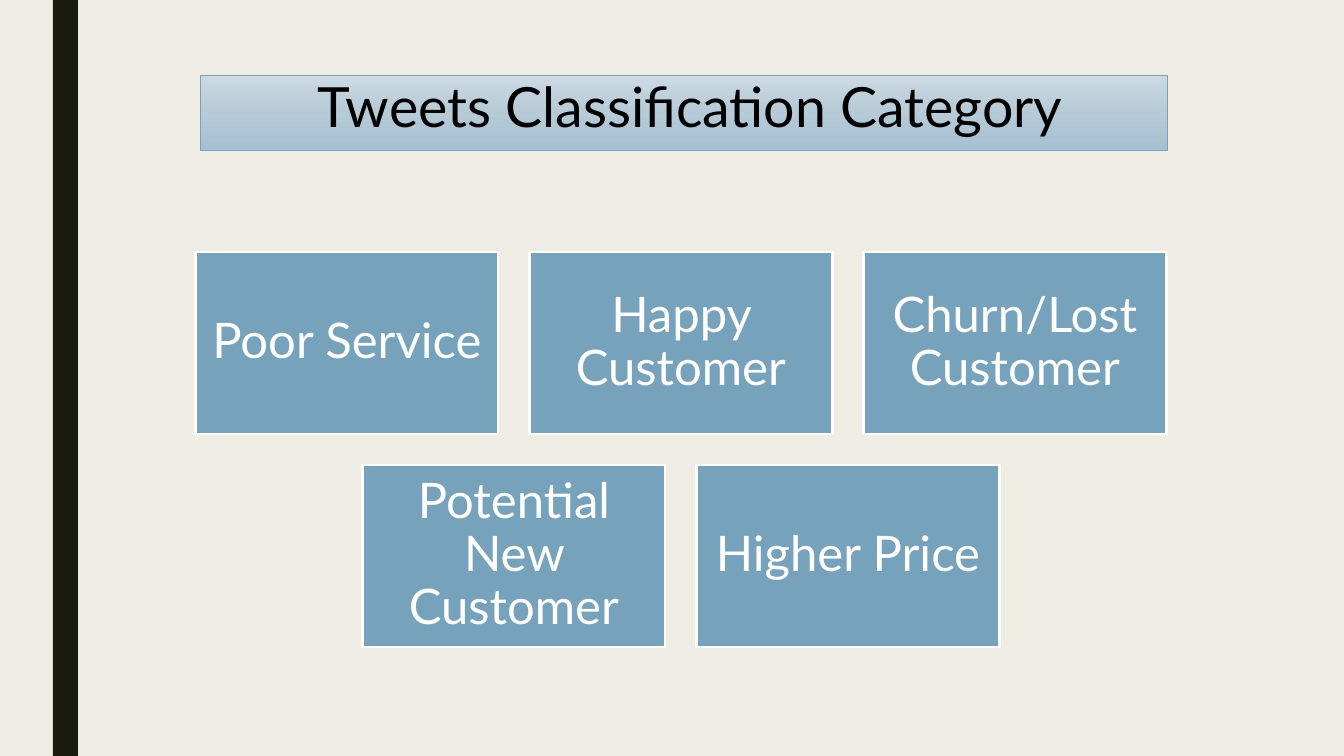
from copy import deepcopy
from dataclasses import dataclass
from pptx import Presentation
from pptx.dml.color import RGBColor as RGB
from pptx.enum.shapes import MSO_SHAPE as SHAPE
from pptx.enum.text import MSO_ANCHOR as ANCHOR, PP_ALIGN as ALIGN
from pptx.oxml.ns import qn
from pptx.util import Pt

TITLE = "Tweets Classification Category"
CATEGORY_ROWS = [
    ["Poor Service", "Happy Customer", "Churn/Lost Customer"],
    ["Potential New Customer", "Higher Price"],
]


@dataclass(frozen=True)
class Theme:
    font: str = "Lato"
    paper: str = "EFEDE3"
    bar: str = "191B0E"
    accent: str = "77A2BB"
    white: str = "FFFFFF"
    black: str = "000000"
    gradient: tuple = ("CCDAE3", "B6CAD7", "A7C1D2")
    title_size: float = 39.6
    card_size: float = 35
    title_line: float = 0.5
    card_line: float = 1.5


T = Theme()
PX = 914400 / 100.8
WIDTH, HEIGHT = 1344, 756
BAR = (53, 0, 25, HEIGHT)
TITLE_BOX = (200, 75, 967, 75)
CARD_W, CARD_H, GAP = 303, 182, 31
CARDS_CENTER, CARDS_TOP = 681, 252


def px(n):
    return round(n * PX)


def color(value):
    return RGB.from_string(value)


def add_box(box, fill=None, line=None, line_width=0):
    sp = slide.shapes.add_shape(SHAPE.RECTANGLE, *map(px, box))
    sp.shadow.inherit = False
    if fill:
        sp.fill.solid()
        sp.fill.fore_color.rgb = color(fill)
    if line:
        sp.line.color.rgb = color(line)
        sp.line.width = Pt(line_width)
    else:
        sp.line.fill.background()
    return sp


def add_gradient(sp, colors):
    sp.fill.gradient()
    sp.fill.gradient_angle = 270
    stops = sp._element.spPr.find(qn("a:gradFill")).find(qn("a:gsLst"))
    stops.insert(1, deepcopy(stops[0]))
    for i, (stop, value) in enumerate(zip(sp.fill.gradient_stops, colors)):
        stop.position = i / (len(colors) - 1)
        stop.color.rgb = color(value)


def write(sp, text, size, ink, align, anchor, spacing, insets):
    tf = sp.text_frame
    tf.word_wrap = True
    tf.vertical_anchor = anchor
    tf.margin_left, tf.margin_top, tf.margin_right, tf.margin_bottom = map(px, insets)
    p = tf.paragraphs[0]
    p.text = text
    p.alignment = align
    p.line_spacing = spacing
    p.font.name = T.font
    p.font.size = Pt(size)
    p.font.color.rgb = color(ink)


prs = Presentation()
prs.slide_width, prs.slide_height = px(WIDTH), px(HEIGHT)
slide = prs.slides.add_slide(prs.slide_layouts[6])
slide.background.fill.solid()
slide.background.fill.fore_color.rgb = color(T.paper)

add_box(BAR, T.bar)

title = add_box(TITLE_BOX, line=T.accent, line_width=T.title_line)
add_gradient(title, T.gradient)
write(title, TITLE, T.title_size, T.black, ALIGN.LEFT, ANCHOR.TOP, 0.89, (118, 5, 10, 5))

for row, names in enumerate(CATEGORY_ROWS):
    row_width = len(names) * (CARD_W + GAP) - GAP
    left = CARDS_CENTER - row_width / 2
    top = CARDS_TOP + row * (CARD_H + GAP)
    for col, name in enumerate(names):
        box = (left + col * (CARD_W + GAP), top, CARD_W, CARD_H)
        card = add_box(box, T.accent, T.white, T.card_line)
        write(card, name, T.card_size, T.white, ALIGN.CENTER, ANCHOR.MIDDLE, 0.9, (15,) * 4)

prs.save("out.pptx")
